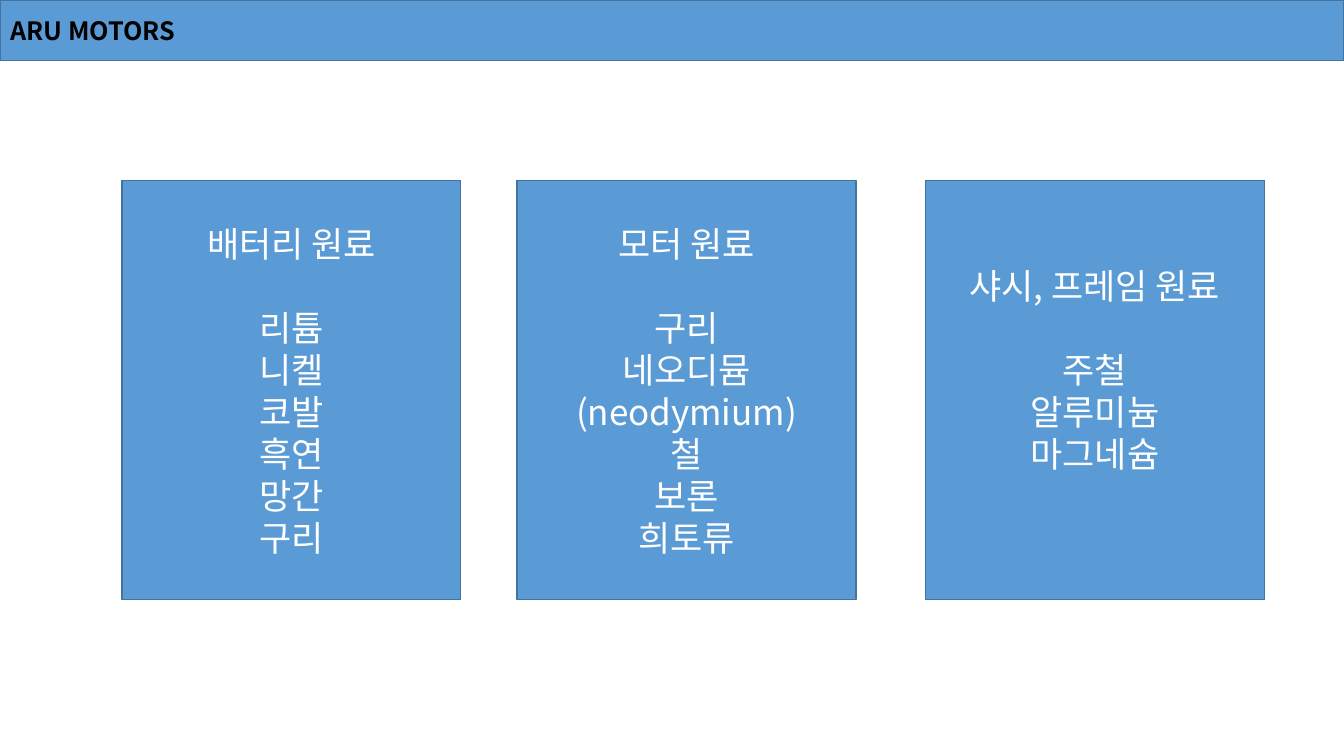
from pptx import Presentation
from pptx.dml.color import RGBColor
from pptx.enum.shapes import MSO_SHAPE
from pptx.enum.text import MSO_ANCHOR, MSO_AUTO_SIZE, PP_ALIGN
from pptx.oxml.ns import qn
from pptx.util import Inches, Pt
from lxml.etree import SubElement

BLUE = RGBColor(0x5B, 0x9B, 0xD5)
EDGE = RGBColor(0x43, 0x73, 0x9E)
BLACK = RGBColor(0, 0, 0)
WHITE = RGBColor(0xFF, 0xFF, 0xFF)
FONT = "Noto Sans CJK KR"
LINE_PITCH = 30

MATERIALS = [
    (1.21, "배터리 원료", ["리튬", "니켈", "코발", "흑연", "망간", "구리"], 0),
    (5.13, "모터 원료", ["구리", "네오디뮴(neodymium)", "철", "보론", "희토류"], 0),
    (9.18, "샤시, 프레임 원료", ["주철", "알루미늄", "마그네슘"], LINE_PITCH),
]


def style_box(sp):
    sp.fill.solid()
    sp.fill.fore_color.rgb = BLUE
    sp.line.color.rgb = EDGE
    sp.line.width = Pt(1)
    tf = sp.text_frame
    tf.word_wrap = True
    tf.auto_size = MSO_AUTO_SIZE.NONE
    tf.vertical_anchor = MSO_ANCHOR.MIDDLE
    return tf


def add_run(p, text, size, color, bold=False):
    r = p.add_run()
    r.text = text
    r.font.size = Pt(size)
    r.font.bold = bold
    r.font.color.rgb = color
    r.font.name = FONT
    SubElement(r.font._element, qn("a:ea"), typeface=FONT)


def add_header(s, x, y, w, h):
    sp = s.shapes.title
    sp.left, sp.top, sp.width, sp.height = Inches(x), Inches(y), Inches(w), Inches(h)
    p = style_box(sp).paragraphs[0]
    p.alignment = PP_ALIGN.LEFT
    add_run(p, "ARU MOTORS", 18, BLACK, True)


def add_card(s, x, y, w, h, heading, items, space_below):
    sp = s.shapes.add_shape(MSO_SHAPE.RECTANGLE, Inches(x), Inches(y), Inches(w), Inches(h))
    sp.shadow.inherit = False
    tf = style_box(sp)
    tf.margin_bottom = Inches(0.05) + Pt(space_below)
    for i, text in enumerate([heading] + items):
        p = tf.add_paragraph() if i else tf.paragraphs[0]
        p.alignment = PP_ALIGN.CENTER
        p.line_spacing = Pt(LINE_PITCH)
        p.space_after = Pt(0 if i else LINE_PITCH)
        add_run(p, text, 25, WHITE)


def main():
    prs = Presentation()
    prs.slide_width, prs.slide_height = Inches(13.33), Inches(7.5)
    s = prs.slides.add_slide(prs.slide_layouts[5])
    add_header(s, 0, 0, 13.33, 0.6)
    for x, heading, items, space_below in MATERIALS:
        add_card(s, x, 1.79, 3.36, 4.16, heading, items, space_below)
    prs.save("out.pptx")


if __name__ == "__main__":
    main()
